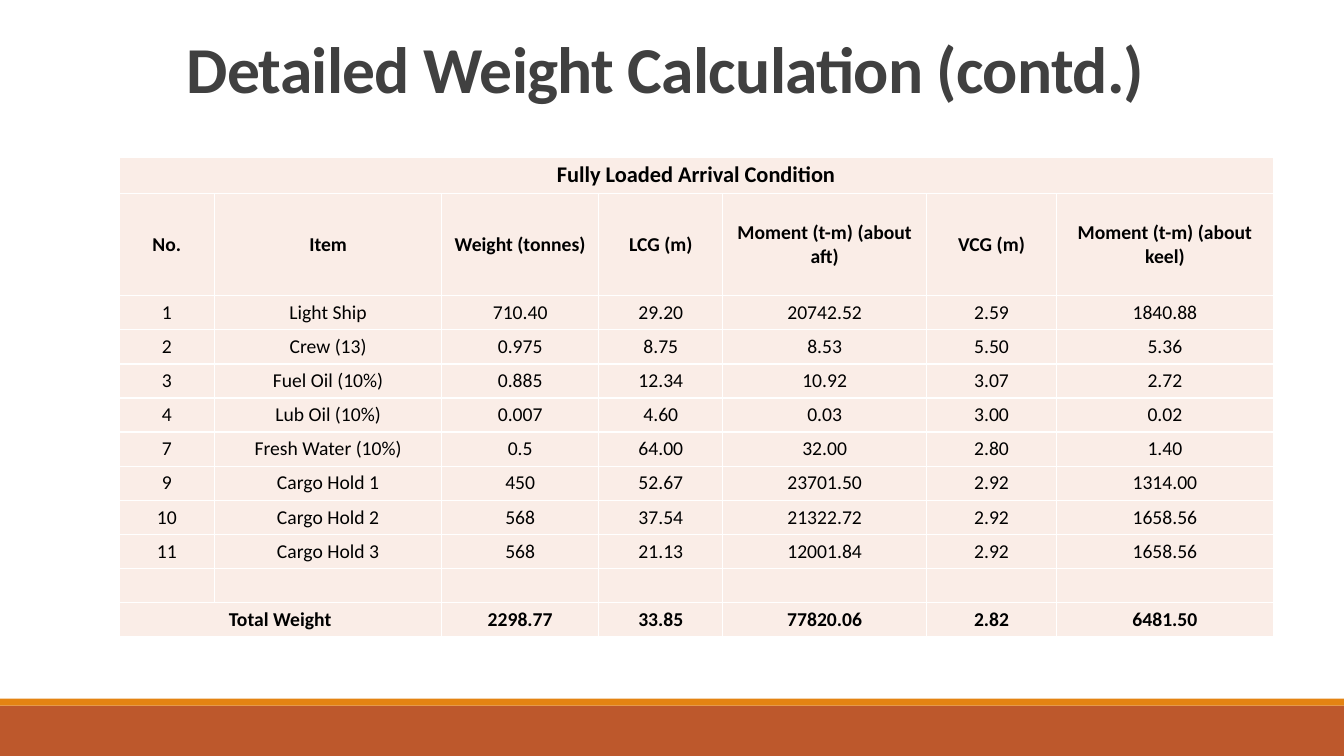
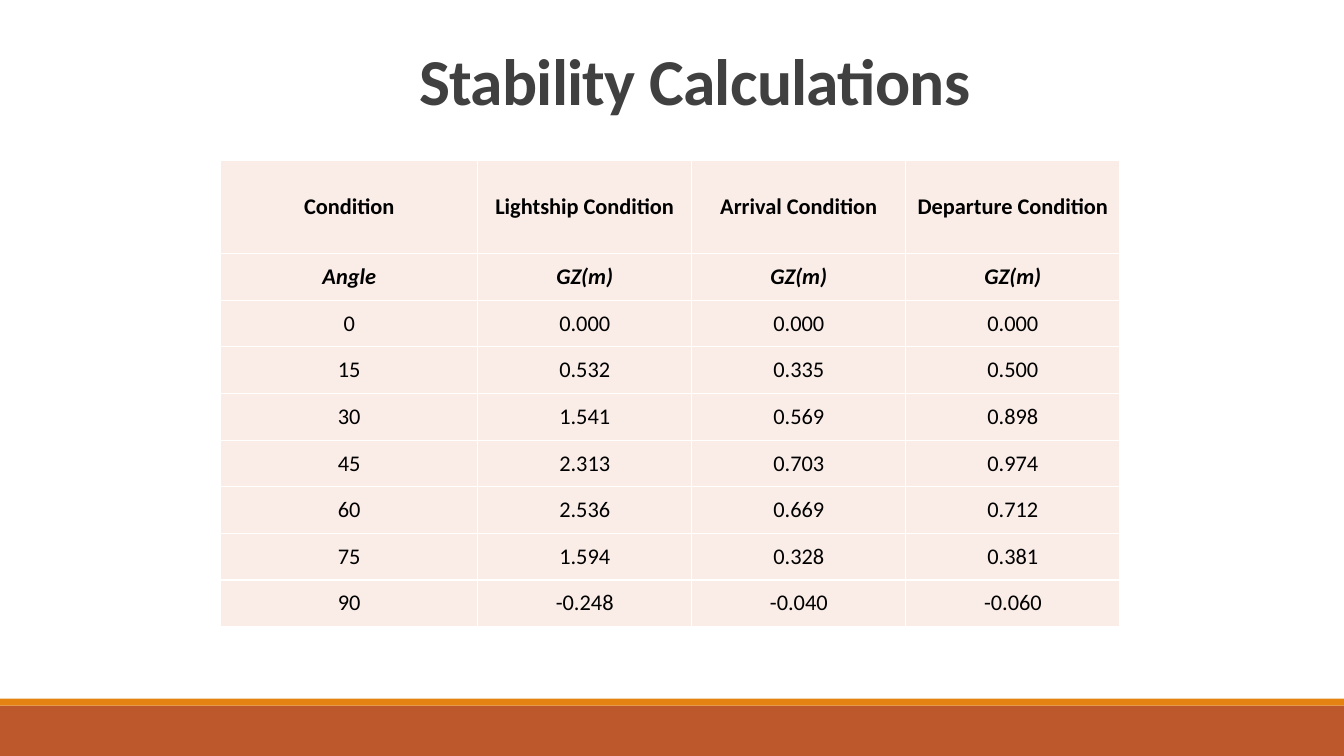
from lxml.etree import SubElement
from pptx import Presentation
from pptx.dml.color import RGBColor
from pptx.enum.shapes import MSO_SHAPE
from pptx.enum.text import MSO_ANCHOR, MSO_AUTO_SIZE, PP_ALIGN
from pptx.oxml.ns import qn
from pptx.util import Inches, Pt

LOADING = [
    ["Fully Loaded Arrival Condition"] + [None] * 6,
    ["No.", "Item", "Weight (tonnes)", "LCG (m)", "Moment (t-m) (about aft)",
     "VCG (m)", "Moment (t-m) (about keel)"],
    ["1", "Light Ship", "710.40", "29.20", "20742.52", "2.59", "1840.88"],
    ["2", "Crew (13)", "0.975", "8.75", "8.53", "5.50", "5.36"],
    ["3", "Fuel Oil (10%)", "0.885", "12.34", "10.92", "3.07", "2.72"],
    ["4", "Lub Oil (10%)", "0.007", "4.60", "0.03", "3.00", "0.02"],
    ["7", "Fresh Water (10%)", "0.5", "64.00", "32.00", "2.80", "1.40"],
    ["9", "Cargo Hold 1", "450", "52.67", "23701.50", "2.92", "1314.00"],
    ["10", "Cargo Hold 2", "568", "37.54", "21322.72", "2.92", "1658.56"],
    ["11", "Cargo Hold 3", "568", "21.13", "12001.84", "2.92", "1658.56"],
    [""] * 7,
    ["Total Weight", None, "2298.77", "33.85", "77820.06", "2.82", "6481.50"],
]

STABILITY = [
    ["Condition", "Lightship Condition", "Arrival Condition", "Departure Condition"],
    ["Angle"] + ["GZ(m)"] * 3,
    ["0", "0.000", "0.000", "0.000"],
    ["15", "0.532", "0.335", "0.500"],
    ["30", "1.541", "0.569", "0.898"],
    ["45", "2.313", "0.703", "0.974"],
    ["60", "2.536", "0.669", "0.712"],
    ["75", "1.594", "0.328", "0.381"],
    ["90", "-0.248", "-0.040", "-0.060"],
]


def rgb(hex_color):
    return RGBColor.from_string(hex_color)


class Deck:
    """Holds the style and the current slide; lengths are percent of the slide."""

    FONT = "Calibri"
    TITLE, TEXT, CELL, BORDER = "404040", "000000", "FAEDE7", "FFFFFF"
    BANDS = [("BD582C", 93.33, 6.67), ("E48312", 92.4, 0.93)]

    def __init__(self):
        self.prs = Presentation()
        self.prs.slide_width = Inches(13.33)
        self.prs.slide_height = Inches(7.5)
        self.s = None

    def box(self, left, top, width, height):
        """Turn percentages into slide lengths."""
        w, h = self.prs.slide_width, self.prs.slide_height
        return [int(share * side / 100)
                for share, side in zip((left, top, width, height), (w, h, w, h))]

    def slide(self, title, left, top):
        self.s = self.prs.slides.add_slide(self.prs.slide_layouts[5])
        for color, band_top, height in self.BANDS:
            self.band(color, band_top, height)
        self.title(title, left, top)

    def band(self, color, top, height):
        sp = self.s.shapes.add_shape(MSO_SHAPE.RECTANGLE, *self.box(0, top, 100, height))
        sp.shadow.inherit = False
        sp.fill.solid()
        sp.fill.fore_color.rgb = rgb(color)
        sp.line.fill.background()

    def title(self, text, left, top):
        sp = self.s.shapes.title
        sp.left, sp.top, sp.width, sp.height = self.box(left, top, 82.52, 21.2)
        tf = sp.text_frame
        tf.word_wrap = True
        tf.auto_size = MSO_AUTO_SIZE.NONE
        tf.vertical_anchor = MSO_ANCHOR.TOP
        p = tf.paragraphs[0]
        p.line_spacing = 0.85
        r = self.run(p, text, 46.8, self.TITLE, bold=True)
        r.font._element.set("spc", "-50")

    def run(self, p, text, size, color, bold=False, italic=False):
        p.alignment = PP_ALIGN.CENTER
        r = p.add_run()
        r.text = text
        r.font.name = self.FONT
        r.font.size = Pt(size)
        r.font.bold = bold
        r.font.italic = italic
        r.font.color.rgb = rgb(color)
        return r

    def table(self, rows, box, col_shares, row_shares, size, styles):
        """Fill a table; None joins the cell to its left, styles maps rows to fonts."""
        left, top, width, height = self.box(*box)
        table = self.s.shapes.add_table(len(rows), len(rows[0]),
                                        left, top, width, height).table
        table.first_row = table.horz_banding = False
        for column, share in zip(table.columns, col_shares):
            column.width = int(width * share / sum(col_shares))
        for row, share in zip(table.rows, row_shares):
            row.height = int(height * share / sum(row_shares))
        for i, texts in enumerate(rows):
            style = {"size": size, **styles.get(i, {})}
            for j, text in enumerate(texts):
                cell = table.cell(i, j)
                self.style_cell(cell)
                if text:
                    self.run(cell.text_frame.paragraphs[0], text, color=self.TEXT, **style)
            self.merge_row(table, i, texts)

    def style_cell(self, cell):
        cell.margin_left = cell.margin_right = cell.margin_top = cell.margin_bottom = 0
        cell.vertical_anchor = MSO_ANCHOR.MIDDLE
        tc_pr = cell._tc.get_or_add_tcPr()
        for side in ("lnL", "lnR", "lnT", "lnB"):
            line = SubElement(tc_pr, qn(f"a:{side}"), w=str(Pt(1)))
            fill = SubElement(line, qn("a:solidFill"))
            SubElement(fill, qn("a:srgbClr"), val=self.BORDER)
        cell.fill.solid()
        cell.fill.fore_color.rgb = rgb(self.CELL)

    def merge_row(self, table, i, texts):
        joined = texts.count(None)
        if joined:
            first = texts.index(None) - 1
            table.cell(i, first).merge(table.cell(i, first + joined))


def main():
    bold = {"bold": True}
    deck = Deck()

    deck.slide("Detailed Weight Calculation (contd.)", 8.25, 4.67)
    deck.table(LOADING, (8.85, 20.8, 85.9, 63.47),
               [0.95, 2.25, 1.56, 1.23, 2.02, 1.29, 2.15], [1.06, 3] + [1] * 10,
               14, {0: {"size": 16, **bold}, 1: bold, 11: bold})

    deck.slide("Stability Calculations", 10.43, 6.27)
    deck.table(STABILITY, (16.43, 21.2, 66.9, 61.73),
               [1.2, 1, 1, 1], [2] + [1] * 8,
               16, {0: bold, 1: {"italic": True, **bold}})

    deck.prs.save("out.pptx")


if __name__ == "__main__":
    main()
